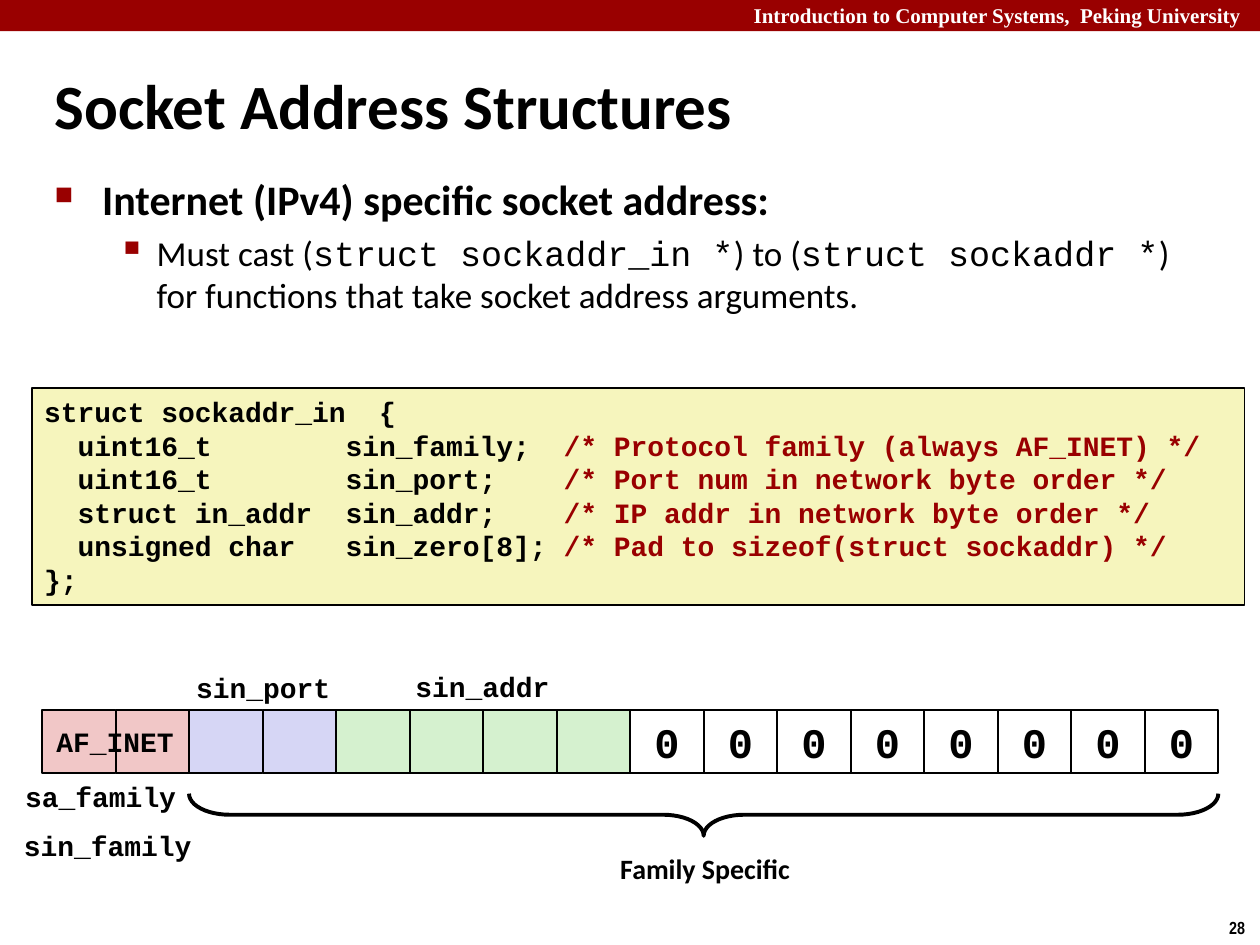
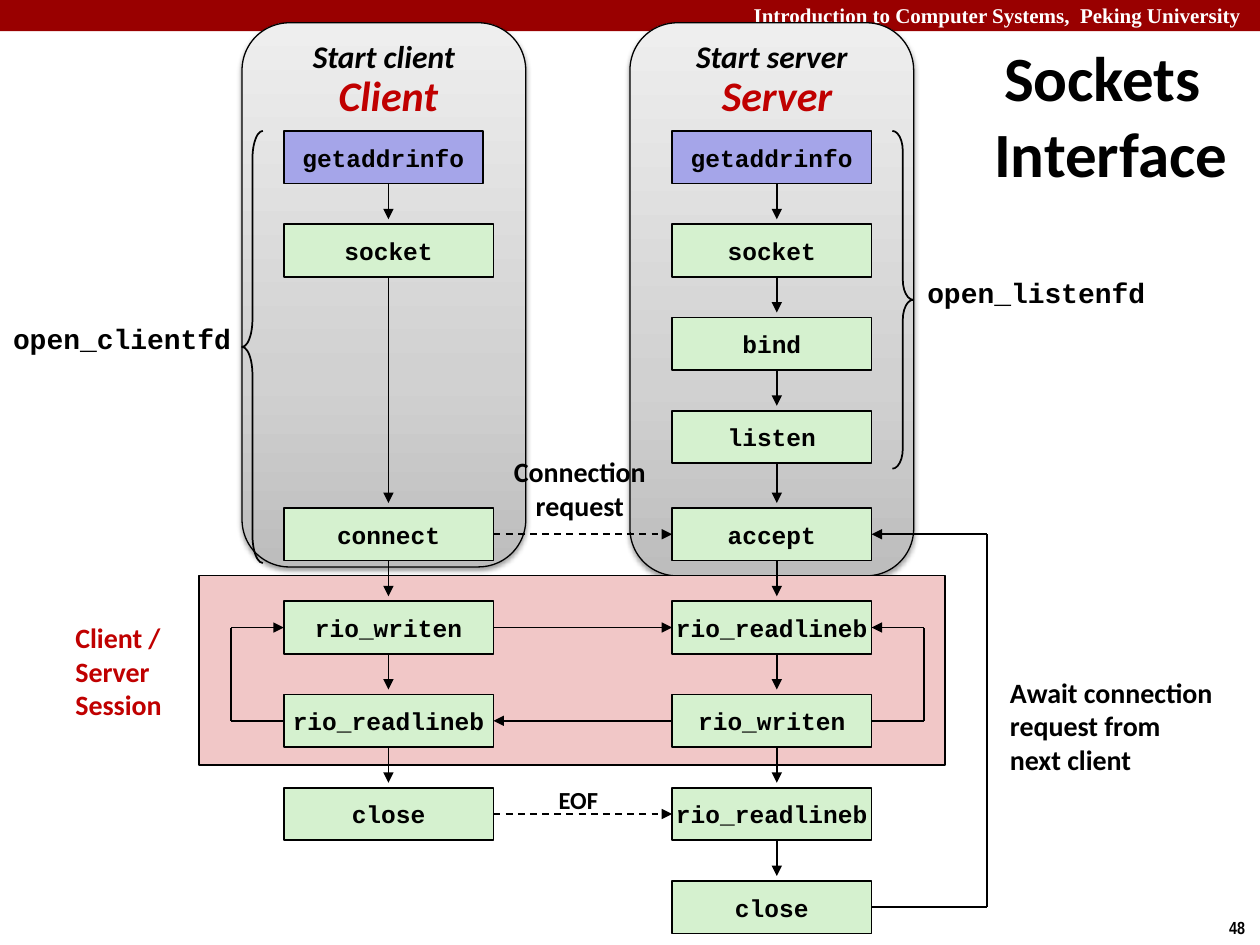
import pptx
import pptx.util
import pptx.dml.color
import pptx.enum.dml
import pptx.enum.shapes
import pptx.enum.text
import pptx.oxml
import pptx.oxml.ns
import copy
import itertools

Cm = pptx.util.Cm
Pt = pptx.util.Pt
rgb = pptx.dml.color.RGBColor.from_string
qn = pptx.oxml.ns.qn
nsdecls = pptx.oxml.ns.nsdecls
shape_types = pptx.enum.shapes.MSO_SHAPE
ALIGN = pptx.enum.text.PP_ALIGN
ANCHOR = pptx.enum.text.MSO_ANCHOR


class Theme:
    black, white = "000000", "FFFFFF"
    band, accent = "990000", "C00000"
    pink, lilac, mint, violet, cream = "F1C7C7", "D6D6F5", "D5F1CF", "A5A5E9", "F6F5BD"
    panel_stops = ((0, "BDBDBD"), (0.35, "D1D1D1"), (1, "EEEEEE"))
    header = dict(name="Times New Roman", size=Pt(12), bold=True, color=white)
    number = dict(name="Arial Narrow", size=Pt(10), bold=True, color=black)
    title = dict(name="Calibri", size=Pt(36), bold=True, color=black)
    label = dict(title, size=Pt(16))
    heading = dict(title, size=Pt(24))
    detail = dict(title, size=Pt(20), bold=False)
    lane = dict(title, size=Pt(18), italic=True)
    code = dict(label, name="Courier New")
    call = dict(code, size=Pt(14))
    digit = dict(code, size=Pt(24))


def add_box(slide, at, text="", style=Theme.label, kind=None, fill=None, line=1,
            align=ALIGN.CENTER, anchor=ANCHOR.MIDDLE, wrap=False):
    """Add a text box, or a shape if kind is given; text is a string or a list of
    paragraphs, each a string or a list of (string, font changes) runs."""
    position = [Cm(value) for value in at]
    if kind is None:
        box = slide.shapes.add_textbox(*position)
    else:
        box = slide.shapes.add_shape(kind, *position)
        box.shadow.inherit = False
        if fill:
            box.fill.solid()
            box.fill.fore_color.rgb = rgb(fill)
        else:
            box.fill.background()
        if line:
            box.line.width = Pt(line)
            box.line.color.rgb = rgb(Theme.black)
        else:
            box.line.fill.background()
    frame = box.text_frame
    frame.word_wrap = wrap
    frame.vertical_anchor = anchor
    for index, runs in enumerate([text] if isinstance(text, str) else text):
        paragraph = frame.add_paragraph() if index else frame.paragraphs[0]
        paragraph.alignment = align
        for content, changes in [(runs, {})] if isinstance(runs, str) else runs:
            if not content:
                continue
            run = paragraph.add_run()
            run.text = content
            for key, value in {**style, **changes}.items():
                if key == "color":
                    run.font.color.rgb = rgb(value)
                else:
                    setattr(run.font, key, value)
    return box


def add_arrow(slide, points, dashed=False):
    """Join the points with straight lines and put an arrowhead on the last one."""
    for start, end in itertools.pairwise(points):
        connector = slide.shapes.add_connector(
            pptx.enum.shapes.MSO_CONNECTOR.STRAIGHT, *[Cm(value) for value in start + end])
        connector.line.width = Pt(1)
        connector.line.color.rgb = rgb(Theme.black)
        if dashed:
            connector.line.dash_style = pptx.enum.dml.MSO_LINE.DASH
        properties = connector.element.spPr
        if end == points[-1]:
            properties.find(qn("a:ln")).append(
                pptx.oxml.parse_xml(f'<a:tailEnd {nsdecls("a")} type="triangle"/>'))
        properties.append(pptx.oxml.parse_xml(f'<a:effectLst {nsdecls("a")}/>'))


presentation = pptx.Presentation()
presentation.slide_width, presentation.slide_height = Cm(25.4), Cm(19.05)

# Band, page number and title
slides = []
titles = (
    ("28", "Socket Address Structures", (0.85, 1.02, 24.2, 2.15), ALIGN.LEFT),
    ("48", "Sockets Interface", (19.26, 0.64, 5.93, 3.32), ALIGN.CENTER),
)
for page, title, title_at, title_align in titles:
    slide = presentation.slides.add_slide(presentation.slide_layouts[6])
    add_box(slide, (0, 0, 25.4, 0.63), kind=shape_types.RECTANGLE, fill=Theme.band, line=0)
    add_box(slide, (12.07, -0.08, 13.2, 0.76), "Introduction to Computer Systems,  Peking University",
            Theme.header, align=ALIGN.RIGHT, wrap=True)
    add_box(slide, (24.53, 18.36, 0.87, 0.68), page, Theme.number, align=ALIGN.LEFT)
    title_box = add_box(slide, title_at, title, Theme.title, align=title_align, wrap=True)
    title_properties = title_box.text_frame.paragraphs[0]._p.get_or_add_pPr()
    title_properties.set("marL", str(Cm(0.33)))
    title_properties.set("indent", str(-Cm(0.33)))
    slides.append(slide)
address_slide, interface_slide = slides

# Socket address structures: bullets
mono = dict(name="Courier New")
body = add_box(
    address_slide, (0.85, 3.38, 23.09, 4.65),
    [[("Internet (IPv4) specific socket address:", Theme.heading)],
     [("Must cast (", {}), ("struct sockaddr_in *", mono), (") to (", {}),
      ("struct sockaddr *", mono), (") for functions that take socket address arguments.", {})]],
    Theme.detail, align=ALIGN.LEFT, anchor=ANCHOR.TOP, wrap=True)
bullets = (("■", 60, 0.96, 0.96, 0), ("▪", 110, 2.06, 0.79, 4))
for level, (character, percent, margin, hang, space) in enumerate(bullets):
    paragraph = body.text_frame.paragraphs[level]
    paragraph.level = level
    paragraph.space_before = Pt(space)
    properties = paragraph._p.get_or_add_pPr()
    properties.set("marL", str(Cm(margin)))
    properties.set("indent", str(-Cm(hang)))
    for element in (f'buClr {nsdecls("a")}><a:srgbClr val="{Theme.band}"/></a:buClr>',
                    f'buSzPct {nsdecls("a")} val="{percent * 1000}"/>',
                    f'buChar {nsdecls("a")} char="{character}"/>'):
        properties.append(pptx.oxml.parse_xml("<a:" + element))

# Struct definition
comment = dict(color=Theme.band)
fields = (
    ("  uint16_t        sin_family;  ", "/* Protocol family (always AF_INET) */"),
    ("  uint16_t        sin_port;    ", "/* Port num in network byte order */"),
    ("  struct in_addr  sin_addr;    ", "/* IP addr in network byte order */"),
    ("  unsigned char   sin_zero[8]; ", "/* Pad to sizeof(struct sockaddr) */"),
)
add_box(address_slide, (0.64, 7.83, 24.45, 4.37),
        ["struct sockaddr_in  {",
         *[[(field, {}), (note, comment)] for field, note in fields],
         "};"],
        Theme.code, shape_types.RECTANGLE, Theme.cream, align=ALIGN.LEFT,
        anchor=ANCHOR.TOP, wrap=True)

# Sixteen bytes of the address
bytes_left, byte_width = 0.85, 23.71 / 16
byte_fills = [Theme.pink] * 2 + [Theme.lilac] * 2 + [Theme.mint] * 4 + [Theme.white] * 8
for index, fill in enumerate(byte_fills):
    add_box(address_slide, (bytes_left + index * byte_width, 14.31, byte_width, 1.27),
            "0" if fill == Theme.white else "", Theme.digit, shape_types.RECTANGLE, fill)
byte_labels = (
    ("sin_port", 3.68, 13.39, 3.25), ("sin_addr", 8.1, 13.37, 3.25),
    ("AF_INET", 0.86, 14.48, 2.92), ("sa_family", 0.25, 15.58, 3.56),
    ("sin_family", 0.2, 16.57, 3.94),
)
for text, left, top, width in byte_labels:
    add_box(address_slide, (left, top, width, 0.93), text, Theme.code)
add_box(address_slide, (12.22, 17.03, 3.99, 0.93), "Family Specific")
brace = add_box(address_slide, (13.76, 6.05, 0.85, 20.75),
                kind=shape_types.RIGHT_BRACE, line=2.25)
brace.rotation = 90
brace.adjustments[0] = 0.96

# Sockets interface: lane panels with a vertical gradient and soft shadow
panels = (("Start client", 4.88, 10.97), ("Start server", 12.7, 11.15))
for text, left, height in panels:
    panel = add_box(interface_slide, (left, 0.46, 5.72, height), text, Theme.lane,
                    shape_types.ROUNDED_RECTANGLE, line=0.75, anchor=ANCHOR.TOP, wrap=True)
    panel.text_frame.margin_top = 0
    panel.fill.gradient()
    panel.fill.gradient_angle = 90
    stop_list = panel.element.spPr.find(".//" + qn("a:gsLst"))
    stop_list.append(copy.deepcopy(stop_list[0]))
    for stop, (position, color) in zip(panel.fill.gradient_stops, Theme.panel_stops):
        stop.position = position
        stop.color.rgb = rgb(color)
    panel.element.spPr.find(qn("a:effectLst")).append(pptx.oxml.parse_xml(
        f'<a:outerShdw {nsdecls("a")} blurRad="{Pt(3.1)}" dist="{Pt(1.6)}" dir="5400000" '
        f'rotWithShape="0"><a:srgbClr val="{Theme.black}"><a:alpha val="38000"/>'
        '</a:srgbClr></a:outerShdw>'))

add_box(interface_slide, (4.02, 11.6, 15.03, 3.82), kind=shape_types.RECTANGLE, fill=Theme.pink)

# Calls of each lane, keyed by row
row_step, box_height = 1.88, 1.06
row_tops = [2.64 + row_step * row for row in range(4)]
row_tops += [10.24 + row_step * row for row in range(5)]
middles = [top + box_height / 2 for top in row_tops]
client_left, client_width = 5.72, 4.23
server_left, server_width = 13.55, 4.02
client_right, server_right = client_left + client_width, server_left + server_width
client_calls = {0: "getaddrinfo", 1: "socket", 4: "connect", 5: "rio_writen",
                6: "rio_readlineb", 7: "close"}
server_calls = dict(enumerate(("getaddrinfo", "socket", "bind", "listen", "accept",
                               "rio_readlineb", "rio_writen", "rio_readlineb", "close")))
lanes = ((client_calls, client_left, client_width, 7.83),
         (server_calls, server_left, server_width, 15.66))
for calls, left, width, axis in lanes:
    for row, following in itertools.pairwise(calls):
        add_arrow(interface_slide, [(axis, row_tops[row] + box_height),
                                    (axis, row_tops[following] - 0.1)])
    for row, name in calls.items():
        first = row == 0
        add_box(interface_slide,
                (left, row_tops[row], server_width if first else width, box_height),
                name, Theme.call, shape_types.RECTANGLE, Theme.violet if first else Theme.mint)

# Messages between the lanes
for row, dashed in ((4, True), (5, False), (7, True)):
    add_arrow(interface_slide, [(client_right, middles[row]), (server_left, middles[row])], dashed)
add_arrow(interface_slide, [(server_left, middles[6]), (client_right, middles[6])])

# Loops back to an earlier call
loops = ((client_left, 4.66, 6, 5), (server_right, 18.63, 6, 5), (server_right, 19.9, 8, 4))
for edge, turn, start, end in loops:
    add_arrow(interface_slide, [(edge, middles[start]), (turn, middles[start]),
                                (turn, middles[end]), (edge, middles[end])])

# Braces and labels
braces = ((shape_types.LEFT_BRACE, 4.88, 8.71, 1.33), (shape_types.RIGHT_BRACE, 17.99, 6.81, 0.96))
for kind, left, height, curve in braces:
    brace = add_box(interface_slide, (left, 2.64, 0.42, height), kind=kind)
    brace.adjustments[0] = curve
lane_name = dict(Theme.heading, italic=True, color=Theme.accent)
labels = (
    ("Client", (6.56, 1.28, 2.54, 1.27), lane_name, ALIGN.CENTER),
    ("Server", (14.28, 1.28, 2.77, 1.27), lane_name, ALIGN.CENTER),
    ("open_clientfd", (0, 6.36, 4.92, 0.93), Theme.code, ALIGN.CENTER),
    ("open_listenfd", (18.43, 5.42, 4.92, 0.93), Theme.code, ALIGN.CENTER),
    (["Connection", "request"], (10.09, 9.03, 3.2, 1.63), Theme.label, ALIGN.CENTER),
    ("EOF", (11, 15.7, 1.32, 0.86), dict(Theme.label, size=Pt(14)), ALIGN.CENTER),
    (["Client /", "Server", "Session"], (1.27, 12.38, 2.34, 2.29),
     dict(Theme.label, color=Theme.accent), ALIGN.LEFT),
    (["Await connection", "request from", "next client"], (20.11, 13.47, 4.65, 2.31),
     Theme.label, ALIGN.LEFT),
)
for text, at, style, align in labels:
    add_box(interface_slide, at, text, style, align=align)

presentation.save("out.pptx")
